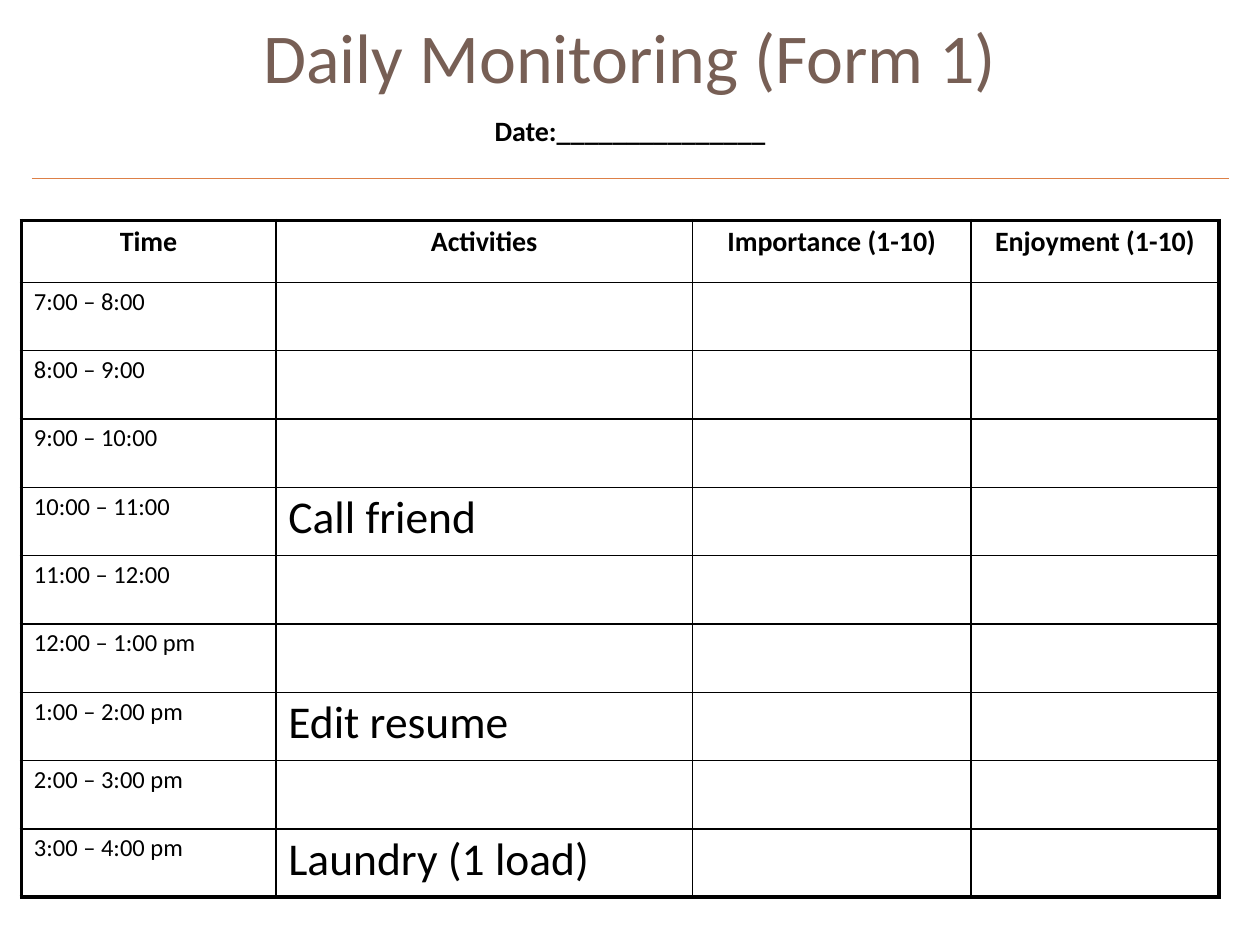
"""Build a daily monitoring form with a title, a rule and an hourly table."""
from lxml import etree
from pptx import Presentation
from pptx.dml.color import RGBColor
from pptx.enum.shapes import MSO_CONNECTOR
from pptx.enum.text import MSO_ANCHOR, MSO_AUTO_SIZE, PP_ALIGN
from pptx.oxml.ns import qn
from pptx.util import Pt

STRAIGHT = MSO_CONNECTOR.STRAIGHT
TOP = MSO_ANCHOR.TOP
NO_FIT = MSO_AUTO_SIZE.NONE
CENTER, LEFT = PP_ALIGN.CENTER, PP_ALIGN.LEFT

BROWN = RGBColor(0x77, 0x5F, 0x55)
ORANGE = RGBColor(0xDD, 0x80, 0x47)
BLACK = RGBColor(0, 0, 0)

HEADERS = ["Time", "Activities", "Importance (1-10)", "Enjoyment (1-10)"]
SCHEDULE = [
    ("7:00 – 8:00", ""),
    ("8:00 – 9:00", ""),
    ("9:00 – 10:00", ""),
    ("10:00 – 11:00", "Call friend"),
    ("11:00 – 12:00", ""),
    ("12:00 – 1:00 pm", ""),
    ("1:00 – 2:00 pm", "Edit resume"),
    ("2:00 – 3:00 pm", ""),
    ("3:00 – 4:00 pm", "Laundry (1 load)"),
]
COLUMN_WIDTHS = [145.4, 238.2, 159, 141.8]
HEADER_HEIGHT, ROW_HEIGHT = 35.4, 37.5
TIME_SIZE, ENTRY_SIZE = 14, 26
OUTER_LINE, INNER_LINE = 2.25, 1


def apply(target, values):
    """Set every named attribute on the target."""
    for name, value in values.items():
        setattr(target, name, value)


class FormSlide:
    """Hold the style and the current slide."""

    font_name = "Calibri"

    def __init__(self, presentation):
        self.slide = presentation.slides.add_slide(presentation.slide_layouts[5])

    def add_text(self, paragraph, text, size, color=BLACK, bold=False, **layout):
        """Add one formatted run to a paragraph."""
        apply(paragraph, layout)
        run = paragraph.add_run()
        run.text = text
        apply(run.font, {"name": self.font_name, "size": Pt(size), "bold": bold})
        run.font.color.rgb = color

    def title(self, heading, date_line):
        """Fill the title placeholder with a heading and a date line."""
        shape = self.slide.shapes.title
        apply(shape, {"left": Pt(0), "top": Pt(0), "width": Pt(720), "height": Pt(90)})
        frame = shape.text_frame
        apply(frame, {"vertical_anchor": TOP, "auto_size": NO_FIT,
                      "word_wrap": True, "margin_top": Pt(7.6)})
        self.add_text(frame.paragraphs[0], heading, 40, BROWN, alignment=CENTER)
        self.add_text(frame.add_paragraph(), date_line, 16, bold=True,
                      alignment=CENTER, space_before=Pt(9.5))

    def rule(self, left, right, top):
        """Draw a horizontal rule."""
        line = self.slide.shapes.add_connector(
            STRAIGHT, Pt(left), Pt(top), Pt(right), Pt(top))
        line.line.color.rgb = ORANGE
        line.line.width = Pt(0.75)
        etree.SubElement(line._element.spPr, qn("a:effectLst"))

    def border(self, cell, side, width):
        """Draw one side of a cell."""
        line = etree.SubElement(cell._tc.get_or_add_tcPr(), qn(f"a:ln{side}"),
                                w=str(Pt(width)))
        fill = etree.SubElement(line, qn("a:solidFill"))
        etree.SubElement(fill, qn("a:srgbClr"), val=str(BLACK))

    def cell(self, cell, text, size, bold, alignment, outer_sides):
        """Format a cell, its text and its borders."""
        paragraph = cell.text_frame.paragraphs[0]
        if text:
            self.add_text(paragraph, text, size, bold=bold,
                          alignment=alignment, line_spacing=0.9)
        else:
            etree.SubElement(paragraph._p, qn("a:endParaRPr"), sz=str(size * 100))
        for side in "LRTB":
            self.border(cell, side, OUTER_LINE if side in outer_sides else INNER_LINE)
        cell.fill.background()

    def table(self, left, top, rows):
        """Add the schedule table, the first row being its header."""
        heights = [HEADER_HEIGHT] + [ROW_HEIGHT] * (len(rows) - 1)
        table = self.slide.shapes.add_table(
            len(rows), len(COLUMN_WIDTHS), Pt(left), Pt(top),
            Pt(sum(COLUMN_WIDTHS)), Pt(sum(heights))).table
        apply(table, {"first_row": False, "horz_banding": False})
        for column, width in zip(table.columns, COLUMN_WIDTHS):
            column.width = Pt(width)
        last_row, last_column = len(rows) - 1, len(COLUMN_WIDTHS) - 1
        for i, texts in enumerate(rows):
            table.rows[i].height = Pt(heights[i])
            for j, text in enumerate(texts):
                edges = {"L": j == 0, "R": j == last_column,
                         "T": i == 0, "B": i == last_row}
                outer_sides = [side for side, is_outer in edges.items() if is_outer]
                size = 16 if i == 0 else TIME_SIZE if j == 0 else ENTRY_SIZE
                self.cell(table.cell(i, j), text, size, i == 0,
                          CENTER if i == 0 else LEFT, outer_sides)


def main():
    """Build and save the form."""
    presentation = Presentation()
    apply(presentation, {"slide_width": Pt(720), "slide_height": Pt(540)})
    form = FormSlide(presentation)
    form.title("Daily Monitoring (Form 1)", "Date:_______________")
    form.table(12.2, 126, [HEADERS] + [(time, entry, "", "") for time, entry in SCHEDULE])
    form.rule(18, 702, 102.2)
    presentation.save("out.pptx")


if __name__ == "__main__":
    main()
